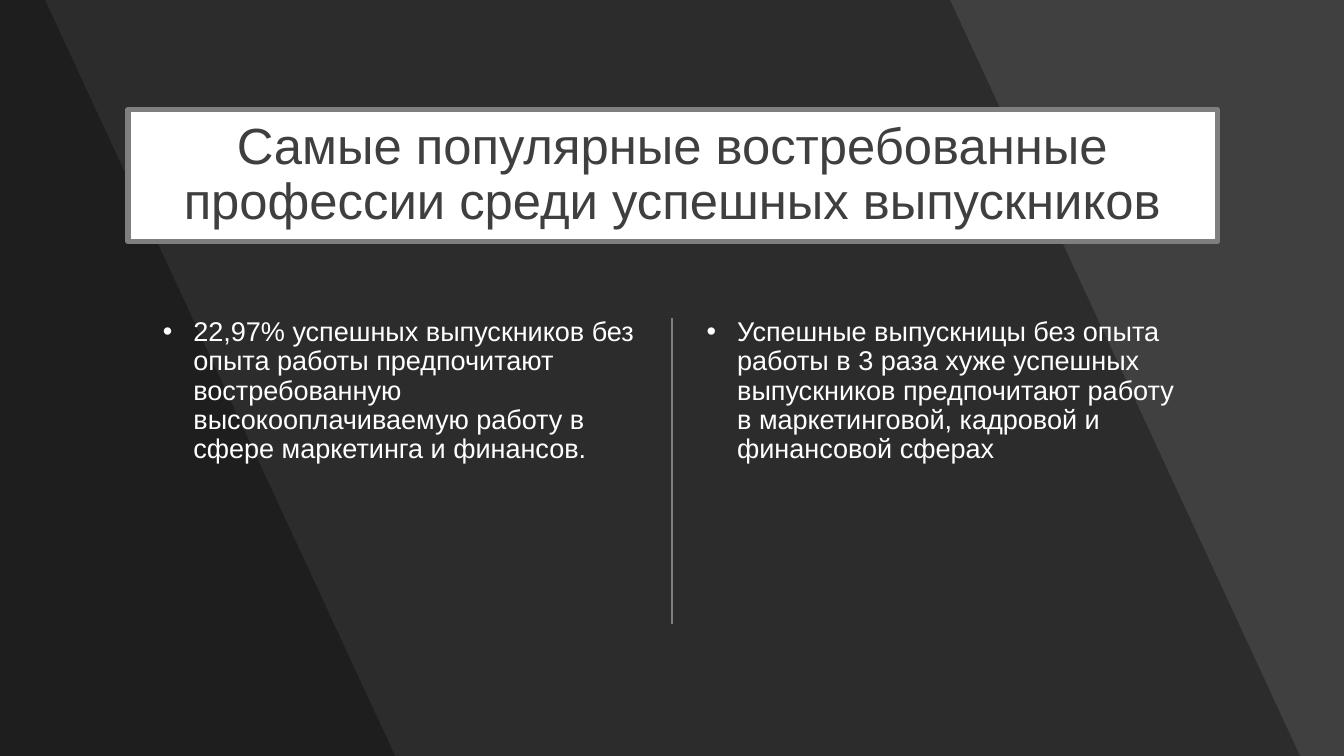
import lxml.etree
import pptx
import pptx.dml.color
import pptx.enum.shapes
import pptx.enum.text
import pptx.oxml.ns
import pptx.util

WIDTH, HEIGHT = 793.44, 446.4
BAND_SLANT = 206.64
BAND_TOPS = [560.88, 26.64]
COLUMN_TOP = 187.92
COLUMN_WIDTH = 280
COLUMN_GAP = 41
COLUMN_TEXTS = [
    "22,97% успешных выпускников без опыта работы предпочитают востребованную высокооплачиваемую работу в сфере маркетинга и финансов.",
    "Успешные выпускницы без опыта работы в 3 раза хуже успешных выпускников предпочитают работу в маркетинговой, кадровой и финансовой сферах",
]


def color(value):
    return pptx.dml.color.RGBColor.from_string(value)


def add_child(parent, tag, **attributes):
    return lxml.etree.SubElement(parent, pptx.oxml.ns.qn(tag), **attributes)


def write_text(shape, text, size=16, fill="FFFFFF", align="LEFT", anchor="TOP", bullet=None, after=0):
    frame = shape.text_frame
    frame.word_wrap = True
    frame.margin_left = frame.margin_top = frame.margin_right = frame.margin_bottom = 0
    frame.vertical_anchor = getattr(pptx.enum.text.MSO_ANCHOR, anchor)
    paragraph = frame.paragraphs[0]
    paragraph.text = text
    paragraph.alignment = getattr(pptx.enum.text.PP_ALIGN, align)
    paragraph.line_spacing = 0.9
    paragraph.space_after = pptx.util.Pt(after)
    if bullet:
        properties = paragraph._p.get_or_add_pPr()
        indent = pptx.util.Pt(18)
        properties.set("marL", str(indent))
        properties.set("indent", str(-indent))
        add_child(properties, "a:buFont", typeface="Arial")
        add_child(properties, "a:buChar", char=bullet)
    font = paragraph.runs[0].font
    font.name = "Arial"
    font.size = pptx.util.Pt(size)
    font.color.rgb = color(fill)


class SlideBuilder:
    def __init__(self, slide, line_color="7F7F7F"):
        self.slide = slide
        self.line_color = line_color

    def background(self, fill):
        background_fill = self.slide.background.fill
        background_fill.solid()
        background_fill.fore_color.rgb = color(fill)

    def paint(self, shape, fill, line_width=0):
        shape.shadow.inherit = False
        shape.fill.solid()
        shape.fill.fore_color.rgb = color(fill)
        if line_width:
            shape.line.color.rgb = color(self.line_color)
            shape.line.width = pptx.util.Pt(line_width)
        else:
            shape.line.fill.background()

    def rectangle(self, left, top, width, height, fill, line_width=0):
        shape = self.slide.shapes.add_shape(
            pptx.enum.shapes.MSO_SHAPE.RECTANGLE, *map(pptx.util.Pt, (left, top, width, height)))
        self.paint(shape, fill, line_width)
        return shape

    def polygon(self, points, fill, opacity):
        start, *rest = [tuple(map(pptx.util.Pt, point)) for point in points]
        builder = self.slide.shapes.build_freeform(*start)
        builder.add_line_segments(rest, close=True)
        shape = builder.convert_to_shape()
        self.paint(shape, fill)
        fill_color = shape._element.spPr.find(".//" + pptx.oxml.ns.qn("a:srgbClr"))
        add_child(fill_color, "a:alpha", val=str(opacity * 1000))

    def line(self, x1, y1, x2, y2, width):
        connector = self.slide.shapes.add_connector(
            pptx.enum.shapes.MSO_CONNECTOR.STRAIGHT, *map(pptx.util.Pt, (x1, y1, x2, y2)))
        connector.line.color.rgb = color(self.line_color)
        connector.line.width = pptx.util.Pt(width)
        add_child(connector._element.spPr, "a:effectLst")

    def text_box(self, left, top, width, height, text, **text_format):
        shape = self.slide.shapes.add_textbox(*map(pptx.util.Pt, (left, top, width, height)))
        write_text(shape, text, **text_format)


def main():
    presentation = pptx.Presentation()
    presentation.slide_width = pptx.util.Pt(WIDTH)
    presentation.slide_height = pptx.util.Pt(HEIGHT)
    builder = SlideBuilder(presentation.slides.add_slide(presentation.slide_layouts[6]))

    builder.background("454545")
    builder.rectangle(0, 0, WIDTH, HEIGHT, "404040")
    for band_top in BAND_TOPS:
        corners = [(0, 0), (band_top, 0), (band_top + BAND_SLANT, HEIGHT), (0, HEIGHT)]
        builder.polygon(corners, "000000", opacity=30)

    title = builder.rectangle(75.6, 64.8, 643, 77.8, "FFFFFF", line_width=3)
    write_text(title, "Самые популярные востребованные профессии среди успешных выпускников",
               size=30, fill="3F3F3F", align="CENTER", anchor="MIDDLE")

    center = WIDTH / 2
    builder.line(center, COLUMN_TOP, center, 368.64, width=1.5)
    first_left = center - COLUMN_GAP / 2 - COLUMN_WIDTH
    for index, text in enumerate(COLUMN_TEXTS):
        left = first_left + index * (COLUMN_WIDTH + COLUMN_GAP)
        builder.text_box(left, COLUMN_TOP, COLUMN_WIDTH, 193, text, bullet="•", after=6)

    presentation.save("out.pptx")


if __name__ == "__main__":
    main()
